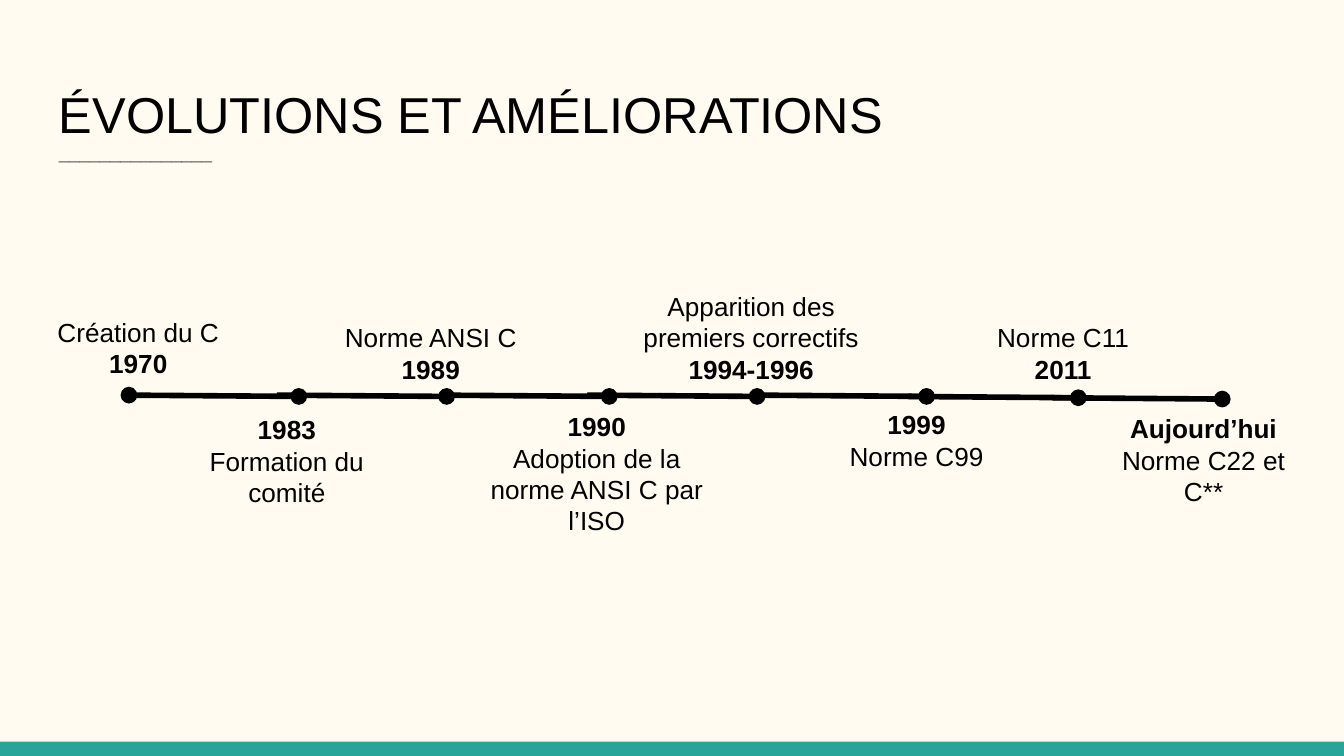
from lxml.etree import SubElement
from pptx import Presentation
from pptx.dml.color import RGBColor
from pptx.enum.shapes import MSO_CONNECTOR as CONN, MSO_SHAPE as SHAPE
from pptx.enum.text import MSO_ANCHOR as ANCHOR, PP_ALIGN as ALIGN
from pptx.oxml.ns import qn
from pptx.util import Pt

INK, CREAM, TEAL = "000000", "FFFBF0", "26A69A"
WIDTH, HEIGHT = 720, 405
SEGMENT, SLOPE = 91, 0.7
STARTS = [(69.1, 211.7), (148.3, 211.7), (235.4, 211.7), (314.6, 211.7),
          (405.4, 211.7), (486.7, 212.4), (563.8, 213.1)]
BELOW = [
    ("1983", "Formation du comité", (95, 216.7, 117.4, 62.6)),
    ("1990", "Adoption de la norme ANSI C par l’ISO", (250.6, 193.7, 138.2, 100.8)),
    ("1999", "Norme C99", (442.1, 211.7, 97.9, 48.2)),
    ("Aujourd’hui", "Norme C22 et C**", (586.1, 200.2, 117.4, 78.5)),
]
ABOVE = [
    ("1970", "Création du C", (23, 162, 102.2, 48.2)),
    ("1989", "Norme ANSI C", (172.1, 150.5, 117.4, 62.6)),
    ("1994-1996", "Apparition des premiers correctifs", (328.3, 150.5, 148.3, 62.6)),
    ("2011", "Norme C11", (520.6, 169.9, 97.9, 43.2)),
]


def color(value):
    return RGBColor.from_string(value)


def add_text(p, text, size=14, bold=False, ink=INK, font="Arial", align=ALIGN.CENTER, spacing=1.0):
    p.alignment = align
    p.line_spacing = spacing
    r = p.add_run()
    r.text = text
    r.font.name = font
    r.font.size = Pt(size)
    r.font.bold = bold
    r.font.color.rgb = color(ink)


class Deck:
    inset = 7.2
    line_width = 3

    def __init__(self, s):
        self.s = s

    def background(self, fill):
        self.s.background.fill.solid()
        self.s.background.fill.fore_color.rgb = color(fill)

    def bar(self, box, fill):
        sp = self.s.shapes.add_shape(SHAPE.RECTANGLE, *map(Pt, box))
        sp.shadow.inherit = False
        sp.fill.solid()
        sp.fill.fore_color.rgb = color(fill)
        sp.line.fill.background()

    def text(self, box, lines, anchor=ANCHOR.BOTTOM, top=inset):
        tf = self.s.shapes.add_textbox(*map(Pt, box)).text_frame
        tf.word_wrap = True
        tf.vertical_anchor = anchor
        tf.margin_left = tf.margin_right = tf.margin_bottom = Pt(self.inset)
        tf.margin_top = Pt(top)
        for i, (text, style) in enumerate(lines):
            p = tf.add_paragraph() if i else tf.paragraphs[0]
            add_text(p, text, **style)

    def segment(self, x, y, ends):
        points = (x, y, x + SEGMENT, y + SLOPE)
        sp = self.s.shapes.add_connector(CONN.STRAIGHT, *map(Pt, points))
        sp.line.color.rgb = color(INK)
        sp.line.width = Pt(self.line_width)
        ln = sp.line._get_or_add_ln()
        for end in ends:
            SubElement(ln, qn(f"a:{end}"), type="oval", w="med", len="med")
        SubElement(sp._element.spPr, qn("a:effectLst"))


def main():
    prs = Presentation()
    prs.slide_width, prs.slide_height = Pt(WIDTH), Pt(HEIGHT)
    deck = Deck(prs.slides.add_slide(prs.slide_layouts[6]))
    deck.background(CREAM)
    deck.bar((0, 397.4, WIDTH, 7.6), TEAL)

    heading = {"align": ALIGN.LEFT, "spacing": 0.9}
    deck.text((24.5, 35.3, 671, 48.2), [
        ("ÉVOLUTIONS ET AMÉLIORATIONS", {"size": 27, **heading}),
        ("_" * 15, {"size": 9.9, "bold": True, **heading}),
    ], anchor=ANCHOR.TOP, top=13)

    for i, (x, y) in enumerate(STARTS):
        deck.segment(x, y, ["tailEnd"] if i else ["headEnd", "tailEnd"])

    for year, event, box in BELOW:
        deck.text(box, [(year, {"bold": True}), (event, {})])
    for year, event, box in ABOVE:
        deck.text(box, [(event, {}), (year, {"bold": True})])

    prs.save("out.pptx")


if __name__ == "__main__":
    main()
